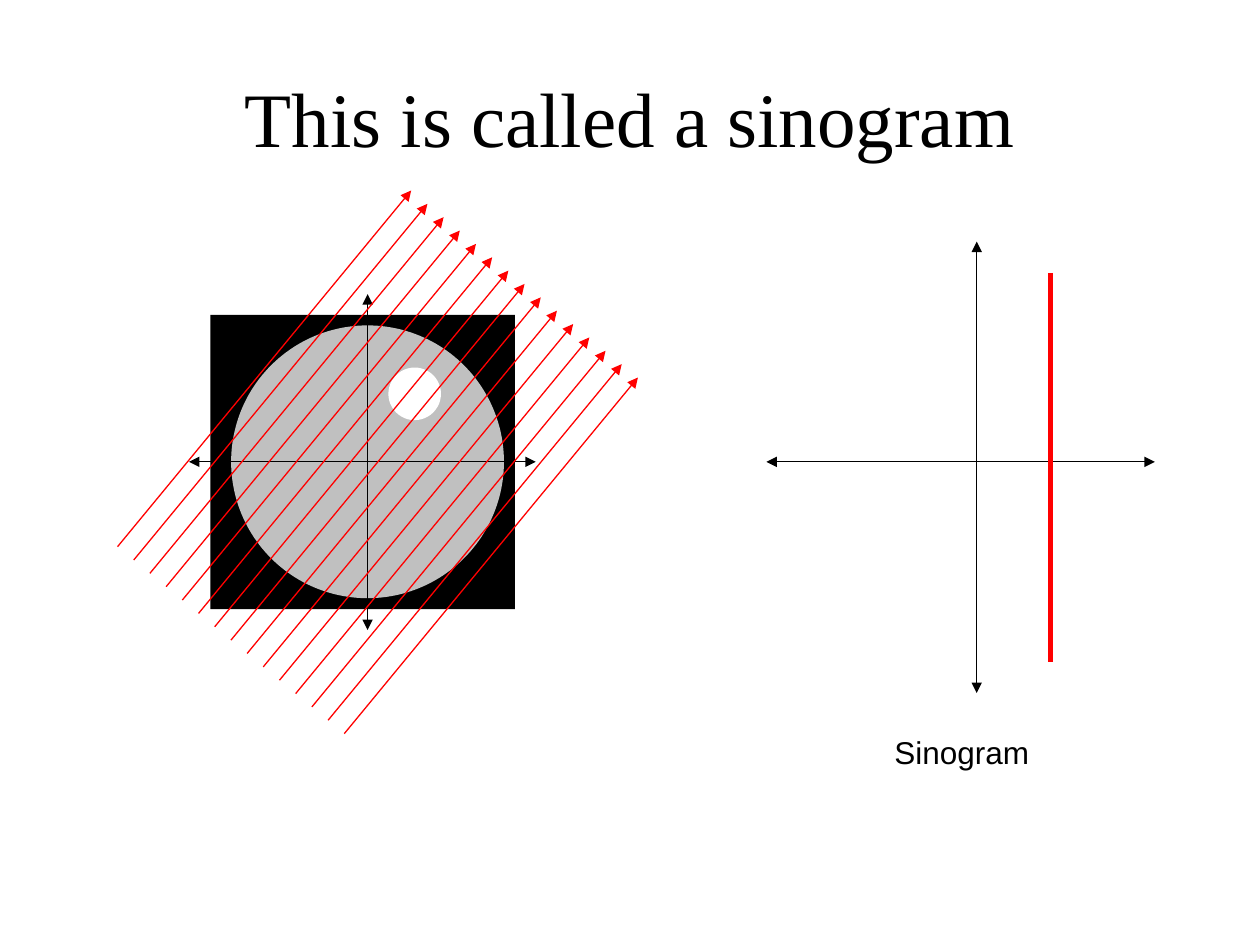
import pptx
import pptx.dml.color
import pptx.enum.shapes
import pptx.enum.text
import pptx.oxml.ns
import pptx.util
from lxml import etree
from pptx.util import Cm

BLACK, RED, GREY, WHITE = "000000", "FF0000", "C0C0C0", "FFFFFF"
RAY_COUNT = 15


def colour(value):
    return pptx.dml.color.RGBColor.from_string(value)


def apply_format(target, values):
    for name, value in values.items():
        setattr(target, name, value)


def add_filled(shapes, kind, left, top, width, height, fill):
    shape = shapes.add_shape(kind, Cm(left), Cm(top), Cm(width), Cm(height))
    shape.shadow.inherit = False
    shape.fill.solid()
    shape.fill.fore_color.rgb = colour(fill)
    shape.line.fill.background()


def add_line(shapes, start, end, line_colour, width=0.75, arrows=()):
    """Draw a straight line; arrows lists the ends that carry a triangle."""
    line = shapes.add_connector(
        pptx.enum.shapes.MSO_CONNECTOR.STRAIGHT,
        *(Cm(value) for value in (*start, *end)))
    line.line.color.rgb = colour(line_colour)
    line.line.width = pptx.util.Pt(width)
    qualified = pptx.oxml.ns.qn
    properties = line._element.spPr
    etree.SubElement(properties, qualified("a:effectLst"))
    outline = properties.find(qualified("a:ln"))
    for arrow in arrows:
        etree.SubElement(outline, qualified(f"a:{arrow}"), type="triangle")


def add_axes(shapes, centre, left, right, top, bottom):
    x, y = centre
    for start, end in (((x, top), (x, bottom)), ((left, y), (right, y))):
        add_line(shapes, start, end, BLACK, arrows=("headEnd", "tailEnd"))


def add_text(shapes, text, left, top, width, height, font, size, alignment, anchor):
    box = shapes.add_textbox(Cm(left), Cm(top), Cm(width), Cm(height))
    apply_format(box.text_frame, {"word_wrap": True, "vertical_anchor": anchor})
    paragraph = box.text_frame.paragraphs[0]
    paragraph.text = text
    paragraph.alignment = alignment
    apply_format(paragraph.font, {"name": font, "size": pptx.util.Pt(size)})
    paragraph.font.color.rgb = colour(BLACK)


def add_phantom(shapes):
    kinds = pptx.enum.shapes.MSO_SHAPE
    add_filled(shapes, kinds.RECTANGLE, 4.24, 6.35, 6.14, 5.93, BLACK)
    add_filled(shapes, kinds.OVAL, 4.66, 6.56, 5.5, 5.5, GREY)
    add_filled(shapes, kinds.OVAL, 7.83, 7.41, 1.06, 1.06, WHITE)


def add_rays(shapes):
    # Parallel rays, evenly spaced between the first and the last
    for index in range(RAY_COUNT):
        fraction = index / (RAY_COUNT - 1)
        x, y = 2.37 + 4.57 * fraction, 11.02 + 3.77 * fraction
        add_line(shapes, (x, y), (x + 5.92, y - 7.18), RED, arrows=("tailEnd",))


def main():
    presentation = pptx.Presentation()
    apply_format(presentation, {"slide_width": Cm(25.4), "slide_height": Cm(19.05)})
    slide = presentation.slides.add_slide(presentation.slide_layouts[6])
    shapes = slide.shapes
    align, anchor = pptx.enum.text.PP_ALIGN, pptx.enum.text.MSO_ANCHOR

    # Scanned object with its axes and rays
    add_phantom(shapes.add_group_shape().shapes)
    add_axes(shapes.add_group_shape().shapes, (7.41, 9.31), 3.81, 10.8, 5.93, 12.7)
    add_rays(shapes.add_group_shape().shapes)

    # Sinogram plot
    add_text(shapes, "Sinogram", 17.78, 14.66, 9.12, 1.27,
             "Arial", 18, align.LEFT, anchor.TOP)
    add_axes(shapes, (19.69, 9.31), 15.45, 23.28, 4.87, 13.97)
    add_line(shapes, (21.17, 5.5), (21.17, 13.34), RED, width=3)

    # Title
    add_text(shapes, "This is called a sinogram", 1.27, 0.76, 22.86, 3.18,
             "Times New Roman", 44, align.CENTER, anchor.MIDDLE)

    presentation.save("out.pptx")


if __name__ == "__main__":
    main()
